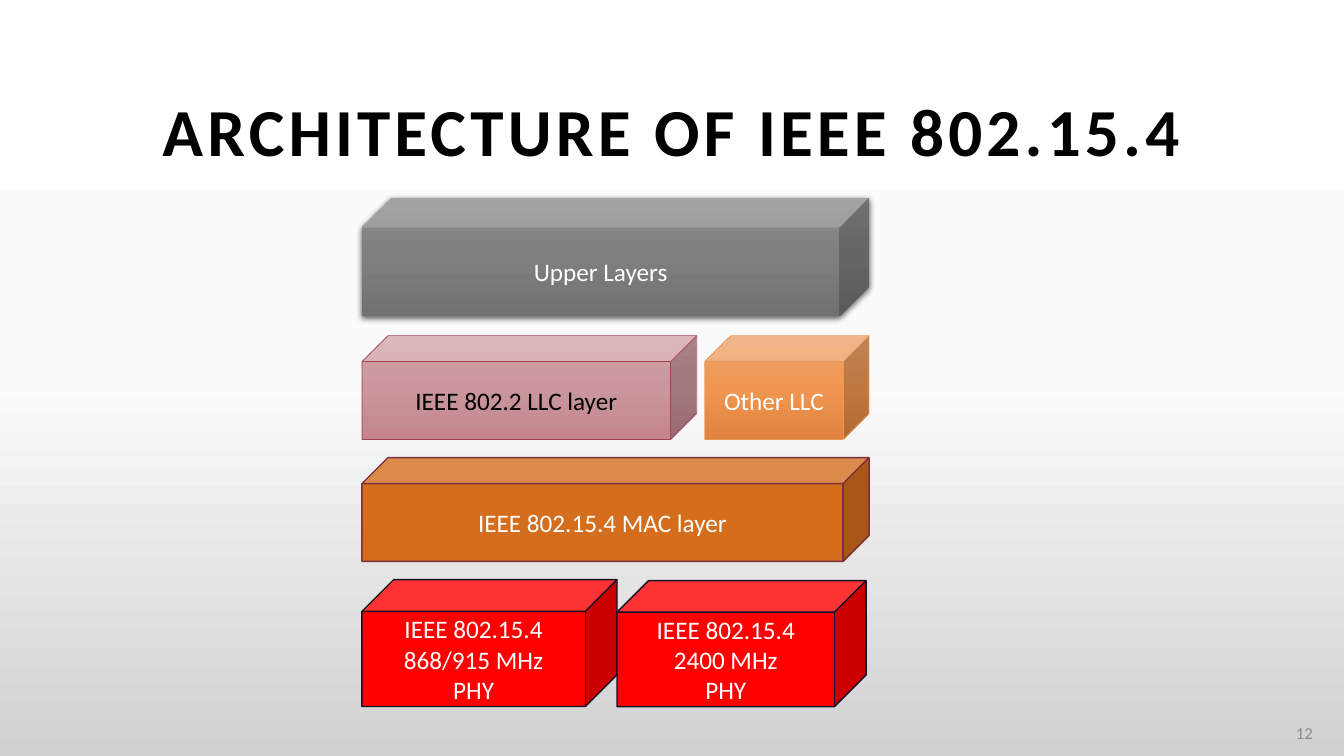
from copy import deepcopy

from lxml import etree
from pptx import Presentation
from pptx.dml.color import RGBColor
from pptx.enum.shapes import MSO_SHAPE
from pptx.enum.text import MSO_ANCHOR, PP_ALIGN
from pptx.oxml.ns import qn
from pptx.util import Inches, Pt

CUBE = MSO_SHAPE.CUBE
MIDDLE = MSO_ANCHOR.MIDDLE
CENTER, RIGHT = PP_ALIGN.CENTER, PP_ALIGN.RIGHT

COLORS = {
    "black": "000000",
    "white": "FFFFFF",
    "number": "8C8C8C",
    "background": ["FFFFFF", "FBFBFB", "D1D1D1"],
    "gray": ["8D8D8D", "7F7F7F", "717171"],
    "rose": ["D3A4A9", "C9979D", "C4848C"],
    "rose line": "A53F52",
    "orange": ["EDA36F", "F09650", "DE843E"],
    "orange line": "E99757",
    "mac": "D46D1C",
    "mac line": "7A2F3D",
    "red": "FF0000",
    "red line": "16112A",
}


def set_gradient(element, fill, colors):
    """Fill from top to bottom with three evenly spaced colours."""
    fill.gradient()
    fill.gradient_angle = 270
    stop_list = element.find(".//" + qn("a:gsLst"))
    stop_list.append(deepcopy(stop_list[0]))
    for index, (stop, color) in enumerate(zip(fill.gradient_stops, colors)):
        stop.position = index / 2
        stop.color.rgb = RGBColor.from_string(color)


def write_text(shape, lines, size, color, alignment=CENTER, bold=False):
    frame = shape.text_frame
    frame.word_wrap = True
    frame.vertical_anchor = MIDDLE
    frame.text = "\n".join(lines)
    for paragraph in frame.paragraphs:
        paragraph.alignment = alignment
        paragraph.font.name = "Calibri"
        paragraph.font.size = Pt(size)
        paragraph.font.bold = bold
        paragraph.font.color.rgb = RGBColor.from_string(COLORS[color])


presentation = Presentation()
presentation.slide_width = Inches(13.33)
presentation.slide_height = Inches(7.5)
slide = presentation.slides.add_slide(presentation.slide_layouts[6])
set_gradient(slide.element, slide.background.fill, COLORS["background"])

# Title with wide letter spacing
title = slide.shapes.add_textbox(Inches(0.65), Inches(0.84), Inches(12.03), Inches(0.9))
write_text(title, ["ARCHITECTURE OF IEEE 802.15.4"], 48, "black", bold=True)
title.text_frame.paragraphs[0].runs[0].font._element.set("spc", "300")

# Slide number
number = slide.shapes.add_textbox(Inches(12.63), Inches(7.07), Inches(0.49), Inches(0.4))
write_text(number, ["12"], 12, "number", RIGHT)

# Protocol layers: lines, left, top, width, height, fill, line, line width, text
LEFT = 3.59
layers = [
    (["Upper Layers"], LEFT, 1.96, 5.03, 1.18, "gray", None, 0, "white"),
    (["IEEE 802.2 LLC layer"], LEFT, 3.33, 3.32, 1.03, "rose", "rose line", 0.5, "black"),
    (["Other LLC"], 6.99, 3.33, 1.63, 1.03, "orange", "orange line", 0.5, "white"),
    (["IEEE 802.15.4 MAC layer"], LEFT, 4.54, 5.03, 1.03, "mac", "mac line", 1, "white"),
    (["IEEE 802.15.4", "868/915 MHz", "PHY"], LEFT, 5.75, 2.53, 1.26,
     "red", "red line", 1, "white"),
    (["IEEE 802.15.4", "2400 MHz", "PHY"], 6.12, 5.76, 2.47, 1.25,
     "red", "red line", 1, "white"),
]
cubes = []
for lines, left, top, width, height, fill, line, line_width, text_color in layers:
    cube = slide.shapes.add_shape(CUBE, Inches(left), Inches(top), Inches(width), Inches(height))
    cube.shadow.inherit = False
    if isinstance(COLORS[fill], list):
        set_gradient(cube.element, cube.fill, COLORS[fill])
    else:
        cube.fill.solid()
        cube.fill.fore_color.rgb = RGBColor.from_string(COLORS[fill])
    if line:
        cube.line.color.rgb = RGBColor.from_string(COLORS[line])
        cube.line.width = Pt(line_width)
    else:
        cube.line.fill.background()
    write_text(cube, lines, 18, text_color)
    cubes.append(cube)

# Soft shadow under the upper layers
effects = cubes[0].element.spPr.find(qn("a:effectLst"))
shadow = etree.SubElement(effects, qn("a:outerShdw"), blurRad=str(Pt(4.5)),
                          dist=str(Pt(1.5)), dir="5400000", rotWithShape="0")
shadow_color = etree.SubElement(shadow, qn("a:srgbClr"), val=COLORS["black"])
etree.SubElement(shadow_color, qn("a:alpha"), val="63000")

presentation.save("out.pptx")
